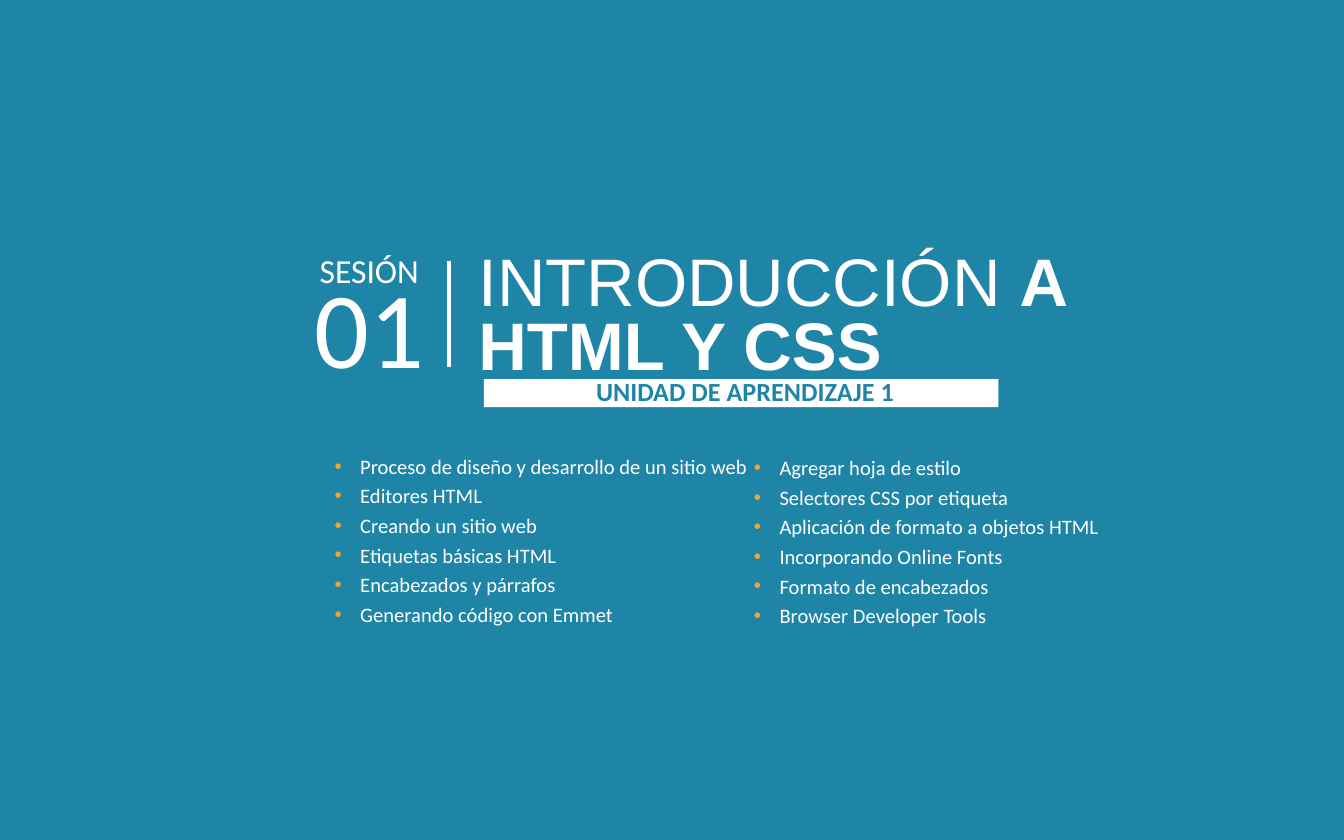
import dataclasses

import pptx
import pptx.dml.color
import pptx.enum.shapes
import pptx.enum.text
import pptx.oxml
import pptx.oxml.ns
import pptx.util

PX = 9144  # EMU in one px, at 100 px to the inch
TWO_CONTENT_LAYOUT = 3
ANCHOR = pptx.enum.text.MSO_ANCHOR
ALIGN = pptx.enum.text.PP_ALIGN


@dataclasses.dataclass(frozen=True)
class Theme:
    blue: str = "1F85A6"
    white: str = "FFFFFF"
    orange: str = "F4A42B"
    title_font: str = "Arial"
    body_font: str = "Calibri"
    title_size: int = 36
    number_size: int = 58
    session_size: int = 18
    unit_size: int = 14
    list_size: int = 11
    divider_width: int = 2


THEME = Theme()

LEFT_TOPICS = [
    "Proceso de diseño y desarrollo de un sitio web",
    "Editores HTML",
    "Creando un sitio web",
    "Etiquetas básicas HTML",
    "Encabezados y párrafos",
    "Generando código con Emmet",
]
RIGHT_TOPICS = [
    "Agregar hoja de estilo",
    "Selectores CSS por etiqueta",
    "Aplicación de formato a objetos HTML",
    "Incorporando Online Fonts",
    "Formato de encabezados",
    "Browser Developer Tools",
]


def rgb(color):
    return pptx.dml.color.RGBColor.from_string(color)


def place(shape, left, top, width, height):
    shape.left, shape.top = left * PX, top * PX
    shape.width, shape.height = width * PX, height * PX


def add_bullet(paragraph, indent):
    properties = paragraph._p.get_or_add_pPr()
    properties.set("marL", str(indent * PX))
    properties.set("indent", str(-indent * PX))
    color = pptx.oxml.parse_xml(
        f'<a:buClr {pptx.oxml.ns.nsdecls("a")}><a:srgbClr val="{THEME.orange}"/></a:buClr>')
    character = pptx.oxml.parse_xml(
        f'<a:buChar {pptx.oxml.ns.nsdecls("a")} char="•"/>')
    properties.extend([color, character])


def write_text(shape, paragraphs, size, font=THEME.body_font, color=THEME.white,
               align=ALIGN.LEFT, anchor=ANCHOR.TOP, line_spacing=1.0,
               insets=(10, 5, 10, 5), bullet_indent=None):
    """Fill a shape; each paragraph is a list of (text, bold) runs."""
    frame = shape.text_frame
    frame.word_wrap = True
    frame.auto_size = pptx.enum.text.MSO_AUTO_SIZE.NONE
    frame.vertical_anchor = anchor
    (frame.margin_left, frame.margin_top,
     frame.margin_right, frame.margin_bottom) = (inset * PX for inset in insets)
    for index, runs in enumerate(paragraphs):
        paragraph = frame.add_paragraph() if index else frame.paragraphs[0]
        paragraph.alignment = align
        paragraph.line_spacing = line_spacing
        paragraph.space_before = pptx.util.Pt(0)
        if bullet_indent is not None:
            add_bullet(paragraph, bullet_indent)
        for text, bold in runs:
            run = paragraph.add_run()
            run.text = text
            run.font.name = font
            run.font.size = pptx.util.Pt(size)
            run.font.bold = bold
            run.font.color.rgb = rgb(color)


def add_session(slide, left, top):
    """Session label and number, with the divider to their right."""
    label = slide.shapes.add_textbox(0, 0, 0, 0)
    place(label, left + 4, top, 95, 40)
    write_text(label, [[("SESIÓN", False)]], THEME.session_size)

    number = slide.shapes.add_textbox(0, 0, 0, 0)
    place(number, left, top + 8, 105, 111)
    write_text(number, [[("01", False)]], THEME.number_size)

    divider_left = (left + 110) * PX
    divider = slide.shapes.add_connector(
        pptx.enum.shapes.MSO_CONNECTOR.STRAIGHT,
        divider_left, (top + 13) * PX, divider_left, (top + 92) * PX)
    divider.line.color.rgb = rgb(THEME.white)
    divider.line.width = pptx.util.Pt(THEME.divider_width)
    divider._element.spPr.append(
        pptx.oxml.parse_xml(f'<a:effectLst {pptx.oxml.ns.nsdecls("a")}/>'))


def add_heading(slide, left, top):
    """Course title with the unit banner under it."""
    title = slide.shapes.title
    place(title, left, top, 503, 109)
    write_text(title, [[("INTRODUCCIÓN ", False), ("A HTML Y CSS", True)]],
               THEME.title_size, font=THEME.title_font, line_spacing=0.8,
               anchor=ANCHOR.MIDDLE)

    banner = slide.shapes.add_shape(
        pptx.enum.shapes.MSO_SHAPE.RECTANGLE, 0, 0, 0, 0)
    place(banner, left + 14, top + 99, 383, 21)
    banner.shadow.inherit = False
    banner.fill.solid()
    banner.fill.fore_color.rgb = rgb(THEME.white)
    banner.line.fill.background()
    write_text(banner, [[("UNIDAD DE APRENDIZAJE 1", True)]], THEME.unit_size,
               color=THEME.blue, align=ALIGN.CENTER, anchor=ANCHOR.MIDDLE,
               line_spacing=0.9, insets=(6, 0, 0, 0))


def fill_topics(placeholder, topics, left, top):
    place(placeholder, left, top, 337, 174)
    write_text(placeholder, [[(topic, False)] for topic in topics],
               THEME.list_size, line_spacing=1.2, bullet_indent=19)


def build_session_slide(presentation):
    slide = presentation.slides.add_slide(
        presentation.slide_layouts[TWO_CONTENT_LAYOUT])
    slide.background.fill.solid()
    slide.background.fill.fore_color.rgb = rgb(THEME.blue)
    add_session(slide, 224, 181)
    add_heading(slide, 346, 183)
    fill_topics(slide.placeholders[1], LEFT_TOPICS, 239, 329)
    fill_topics(slide.placeholders[2], RIGHT_TOPICS, 551, 330)


def main():
    presentation = pptx.Presentation()
    presentation.slide_width = 1000 * PX
    presentation.slide_height = 625 * PX
    build_session_slide(presentation)
    presentation.save("out.pptx")


if __name__ == "__main__":
    main()
